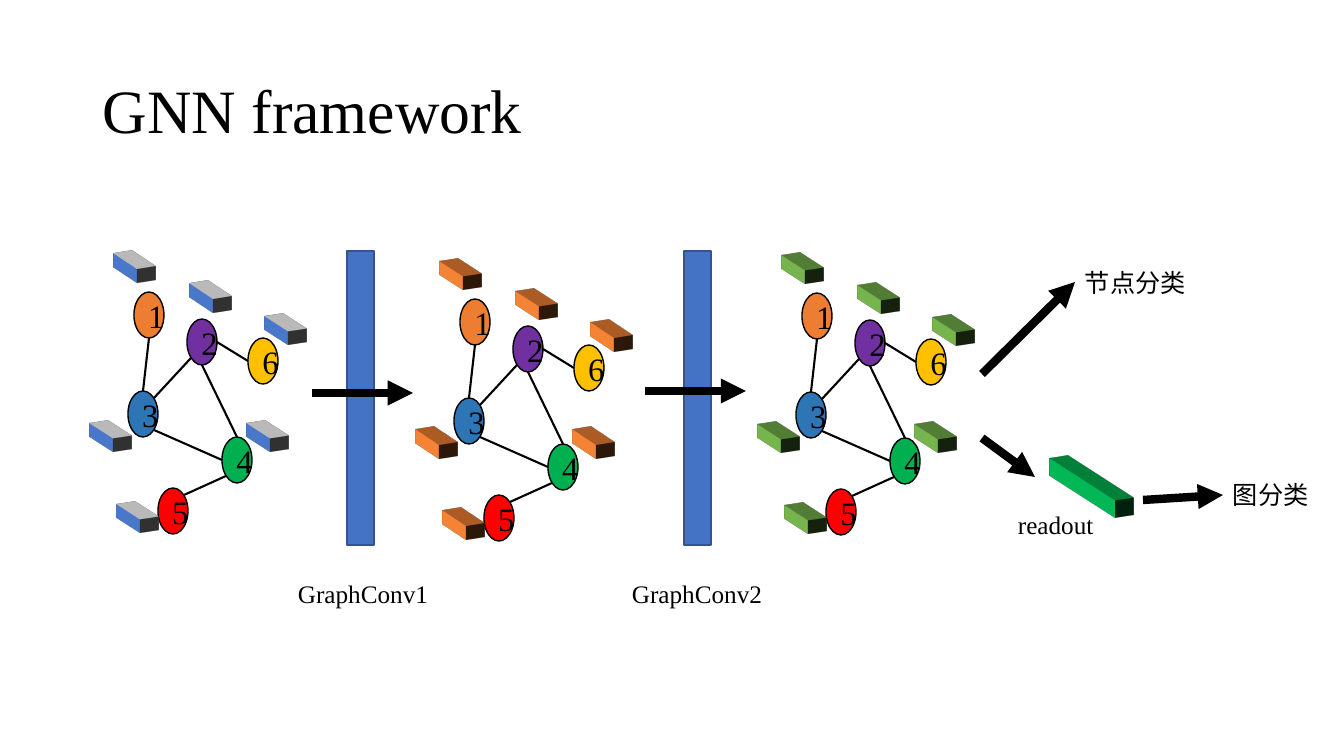
from lxml import etree
from pptx import Presentation
from pptx import util as u
from pptx.dml.color import RGBColor
from pptx.enum import shapes, text
from pptx.oxml.ns import qn

PX = 9071  # EMU per px, 100.8 px to the inch
FONT = "Times New Roman"
hex_color = RGBColor.from_string


def write(box, words, size, align=text.PP_ALIGN.LEFT):
    para = box.text_frame.paragraphs[0]
    para.alignment = align
    span = para.add_run()
    span.text = words
    span.font.size = u.Pt(size)
    span.font.name = FONT
    span.font.color.rgb = hex_color("000000")
    return para


def draw_line(parent, start, end, width):
    ends = [value * PX for value in (*start, *end)]
    line = parent.add_connector(shapes.MSO_CONNECTOR.STRAIGHT, *ends)
    line.line.color.rgb = hex_color("000000")
    line.line.width = u.Pt(width)
    etree.SubElement(line._element.spPr, qn("a:effectLst"))
    return line


deck = Presentation()
deck.slide_width, deck.slide_height = 1344 * PX, 756 * PX
page = deck.slides.add_slide(deck.slide_layouts[6])

# Title
title = page.shapes.add_textbox(93 * PX, 41 * PX, 1159 * PX, 146 * PX)
title.text_frame.word_wrap = True
title.text_frame.vertical_anchor = text.MSO_ANCHOR.MIDDLE
write(title, "GNN framework", 44).line_spacing = 0.9

# Graph: node places, edges between points on their rims, feature places
NODE_W, NODE_H = 30, 46
nodes = {
    "1": (45, 42, "ED7D31"), "5": (69, 238, "FF0000"), "3": (39, 141, "2E75B6"),
    "4": (133, 187, "00B050"), "2": (98, 69, "7030A0"), "6": (159, 88, "FFC000"),
}
rim = {
    "top": (15, 0), "bottom": (15, 46), "left": (0, 23), "right": (30, 23),
    "top right": (26, 7), "bottom left": (4, 39), "bottom right": (26, 39),
}
edges = [
    ("1", "bottom", "3", "top"), ("3", "top right", "2", "bottom left"),
    ("4", "left", "3", "bottom right"), ("5", "top right", "4", "bottom left"),
    ("4", "top", "2", "bottom"), ("6", "left", "2", "right"),
]
features = [(85, 41), (160, 73), (9, 11), (-15, 180), (12, 261), (142, 180)]

# Graph origins, and the fill, line and depth colours of their features
graphs = [
    (89, 250, ("4472C4", "325491", "FFFFFF")),
    (415, 257, ("ED7D31", "ED7D31", "ED7D31")),
    (757, 251, ("70AD47", "70AD47", "70AD47")),
]

# Rectangles: parent, place, size, colours; a depth colour makes a solid block
plates = [
    (page.shapes, 347, 251, 27, 294, ("4472C4", "325491", None)),
    (page.shapes, 684, 251, 27, 294, ("4472C4", "325491", None)),
    (page.shapes, 1008, 479, 149, 18, ("00B050", "00B050", "00B050")),
]

for left, top, colors in graphs:
    graph = page.shapes.add_group_shape().shapes
    for name, (x, y, color) in nodes.items():
        node = graph.add_shape(shapes.MSO_SHAPE.OVAL, (left + x) * PX,
                               (top + y) * PX, NODE_W * PX, NODE_H * PX)
        node.shadow.inherit = False
        node.fill.solid()
        node.fill.fore_color.rgb = hex_color(color)
        node.line.color.rgb = hex_color("000000")
        node.line.width = u.Pt(1)
        node.text_frame.vertical_anchor = text.MSO_ANCHOR.MIDDLE
        write(node, name, 23.3, text.PP_ALIGN.CENTER)
    for first, first_side, second, second_side in edges:
        start, end = [
            (left + nodes[name][0] + rim[side][0], top + nodes[name][1] + rim[side][1])
            for name, side in ((first, first_side), (second, second_side))
        ]
        draw_line(graph, start, end, 1.5)
    for x, y in features:
        plates.append((graph, left + x, top + y, 54, 14, colors))

# Convolution layers, readout vector and feature vectors
for parent, left, top, width, height, (fill, edge, depth) in plates:
    plate = parent.add_shape(shapes.MSO_SHAPE.RECTANGLE,
                             left * PX, top * PX, width * PX, height * PX)
    plate.shadow.inherit = False
    plate.fill.solid()
    plate.fill.fore_color.rgb = hex_color(fill)
    plate.line.color.rgb = hex_color(edge)
    plate.line.width = u.Pt(1)
    if depth:
        scene = etree.SubElement(plate._element.spPr, qn("a:scene3d"))
        etree.SubElement(scene, qn("a:camera"), prst="isometricOffAxis1Left")
        etree.SubElement(scene, qn("a:lightRig"), rig="threePt", dir="t")
        solid = etree.SubElement(plate._element.spPr, qn("a:sp3d"),
                                 extrusionH=str(21 * PX))
        tint = etree.SubElement(solid, qn("a:extrusionClr"))
        etree.SubElement(tint, qn("a:srgbClr"), val=depth)

# Flow arrows
arrows = [
    ((312, 393), (413, 393)), ((645, 391), (746, 391)), ((982, 374), (1075, 282)),
    ((982, 438), (1035, 477)), ((1143, 500), (1223, 495)),
]
for start, end in arrows:
    arrow = draw_line(page.shapes, start, end, 6)
    etree.SubElement(arrow.line._get_or_add_ln(), qn("a:tailEnd"), type="triangle")

# Labels
labels = [
    ("节点分类", 1075, 262, 122), ("图分类", 1223, 474, 97), ("readout", 1008, 504, 97),
    ("GraphConv1", 288, 573, 152), ("GraphConv2", 622, 573, 152),
]
for words, left, top, width in labels:
    label = page.shapes.add_textbox(left * PX, top * PX, width * PX, 40 * PX)
    label.text_frame.word_wrap = False
    label.text_frame.auto_size = text.MSO_AUTO_SIZE.SHAPE_TO_FIT_TEXT
    write(label, words, 18)

deck.save("out.pptx")
